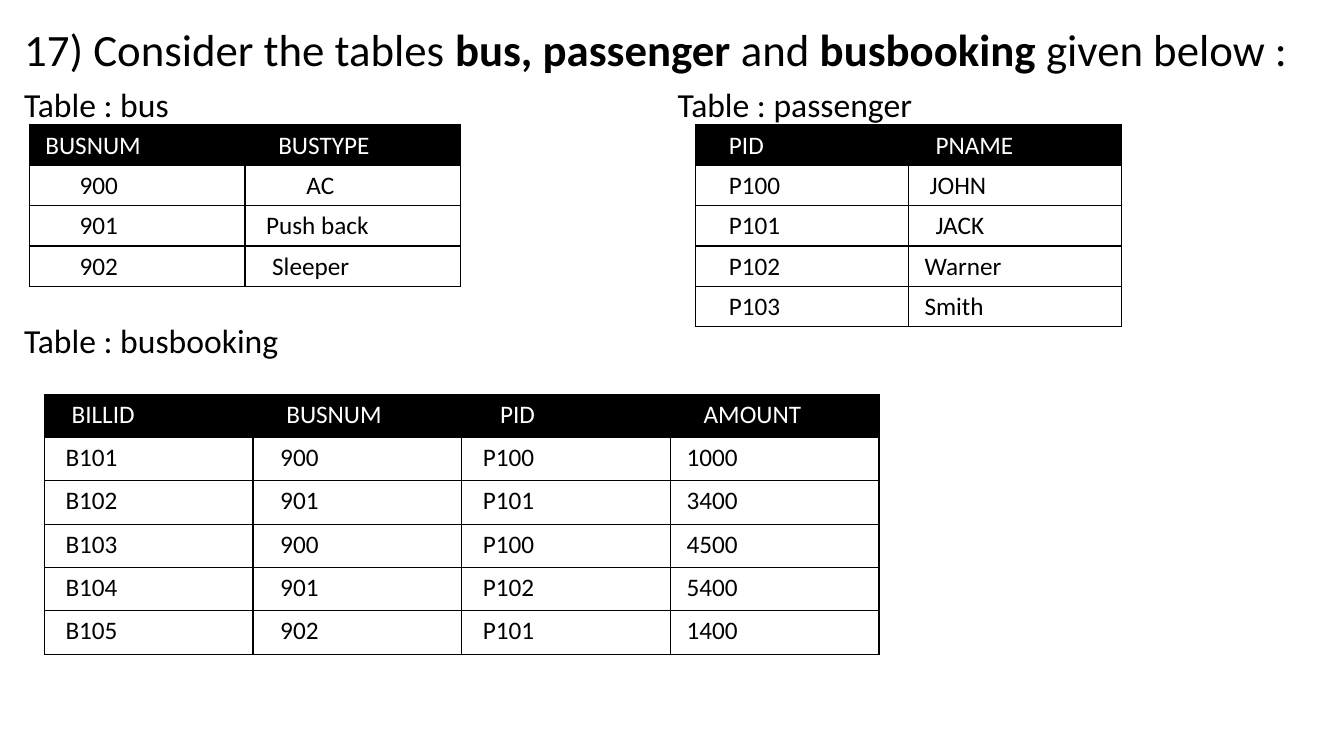
from dataclasses import dataclass

from lxml.etree import SubElement
from pptx import Presentation
from pptx.dml.color import RGBColor
from pptx.oxml.ns import qn
from pptx.util import Emu, Pt

PX = 9144  # 100 px to the inch


@dataclass(frozen=True)
class Theme:
    font: str = "Calibri"
    ink: str = "000000"
    paper: str = "FFFFFF"
    title: int = 32
    label: int = 24
    cell: int = 18
    border: int = 1
    cell_padding: int = 10


def px(length):
    return Emu(length * PX)


def add_run(paragraph, text, *, font, size, color, bold=False):
    run = paragraph.add_run()
    run.text = text
    run.font.name = font
    run.font.size = Pt(size)
    run.font.bold = bold
    run.font.color.rgb = RGBColor.from_string(color)


class SlideBuilder:
    def __init__(self, slide, theme):
        self.slide = slide
        self.theme = theme

    def text(self, left, top, width, height, parts, size):
        """Add one line of text; parts are (text, bold) pairs."""
        frame = self.slide.shapes.add_textbox(
            px(left), px(top), px(width), px(height)).text_frame
        frame.word_wrap = True
        frame.margin_left = frame.margin_right = 0
        frame.margin_top = frame.margin_bottom = 0
        for text, bold in parts:
            add_run(frame.paragraphs[0], text, font=self.theme.font, size=size,
                    color=self.theme.ink, bold=bold)

    def label(self, left, top, table_name):
        self.text(left, top, 400, 41, [(f"Table : {table_name}", False)],
                  self.theme.label)

    def table(self, left, top, column_width, row_height, rows, indents):
        """Add a ruled table with a dark header; indents match rows cell by cell."""
        row_count, column_count = len(rows), len(rows[0])
        table = self.slide.shapes.add_table(
            row_count, column_count, px(left), px(top),
            px(column_width * column_count), px(row_height * row_count)).table
        table.horz_banding = False
        for column in table.columns:
            column.width = px(column_width)
        for row in table.rows:
            row.height = px(row_height)
        for r, (values, row_indents) in enumerate(zip(rows, indents)):
            for c, (value, indent) in enumerate(zip(values, row_indents)):
                self.cell(table.cell(r, c), value, indent, is_header=r == 0)

    def cell(self, cell, value, indent, is_header):
        theme = self.theme
        self.cell_borders(cell)
        if is_header:
            cell.fill.solid()
            cell.fill.fore_color.rgb = RGBColor.from_string(theme.ink)
        else:
            cell.fill.background()
        cell.margin_left = px(theme.cell_padding + indent)
        add_run(cell.text_frame.paragraphs[0], value, font=theme.font,
                size=theme.cell, color=theme.paper if is_header else theme.ink)

    def cell_borders(self, cell):
        properties = cell._tc.get_or_add_tcPr()
        for side in ("a:lnL", "a:lnR", "a:lnT", "a:lnB"):
            line = SubElement(properties, qn(side), w=str(Pt(self.theme.border)))
            fill = SubElement(line, qn("a:solidFill"))
            SubElement(fill, qn("a:srgbClr"), val=self.theme.ink)


BUS = [
    ("BUSNUM", "BUSTYPE"),
    ("900", "AC"),
    ("901", "Push back"),
    ("902", "Sleeper"),
]
BUS_INDENTS = [(6, 23), (40, 51), (40, 11), (40, 17)]

PASSENGER = [
    ("PID", "PNAME"),
    ("P100", "JOHN"),
    ("P101", "JACK"),
    ("P102", "Warner"),
    ("P103", "Smith"),
]
PASSENGER_INDENTS = [(23, indent) for indent in (17, 11, 17, 6, 6)]

BOOKING = [
    ("BILLID", "BUSNUM", "PID", "AMOUNT"),
    ("B101", "900", "P100", "1000"),
    ("B102", "901", "P101", "3400"),
    ("B103", "900", "P100", "4500"),
    ("B104", "901", "P102", "5400"),
    ("B105", "902", "P101", "1400"),
]
BOOKING_INDENTS = [(17, 23, 28, 23)] + [(11, 17, 11, 6)] * (len(BOOKING) - 1)


def main():
    presentation = Presentation()
    presentation.slide_width, presentation.slide_height = px(1333), px(750)
    theme = Theme()
    page = SlideBuilder(
        presentation.slides.add_slide(presentation.slide_layouts[6]), theme)

    page.text(24, 22, 1283, 54, [
        ("17) Consider the tables ", False),
        ("bus, passenger ", True),
        ("and ", False),
        ("busbooking", True),
        (" given below :", False),
    ], theme.title)
    page.label(24, 83, "bus")
    page.label(672, 83, "passenger")
    page.label(24, 317, "busbooking")

    page.table(29, 124, 214, 40, BUS, BUS_INDENTS)
    page.table(690, 124, 211, 40, PASSENGER, PASSENGER_INDENTS)
    page.table(44, 391, 207, 43, BOOKING, BOOKING_INDENTS)
    presentation.save("out.pptx")


if __name__ == "__main__":
    main()
